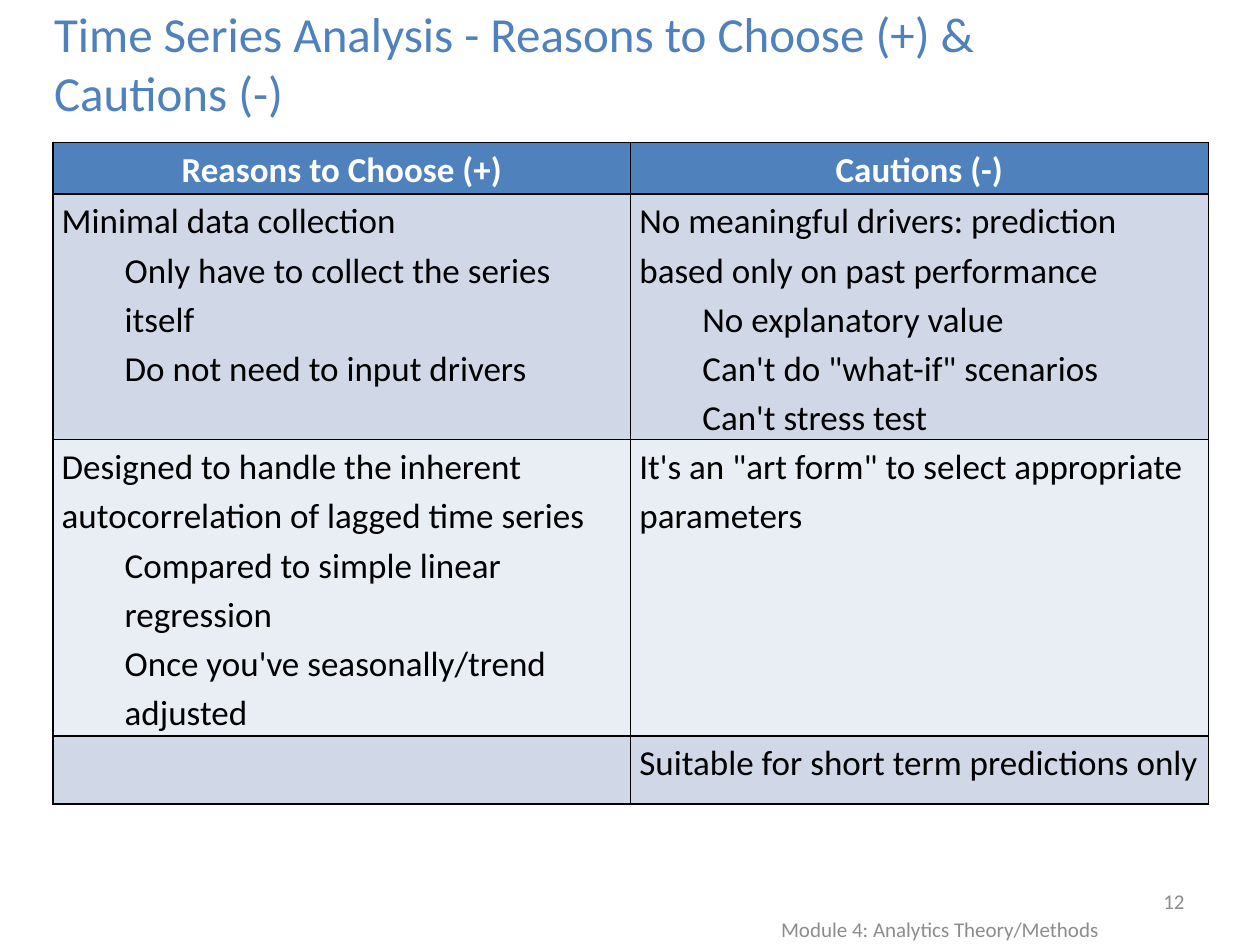
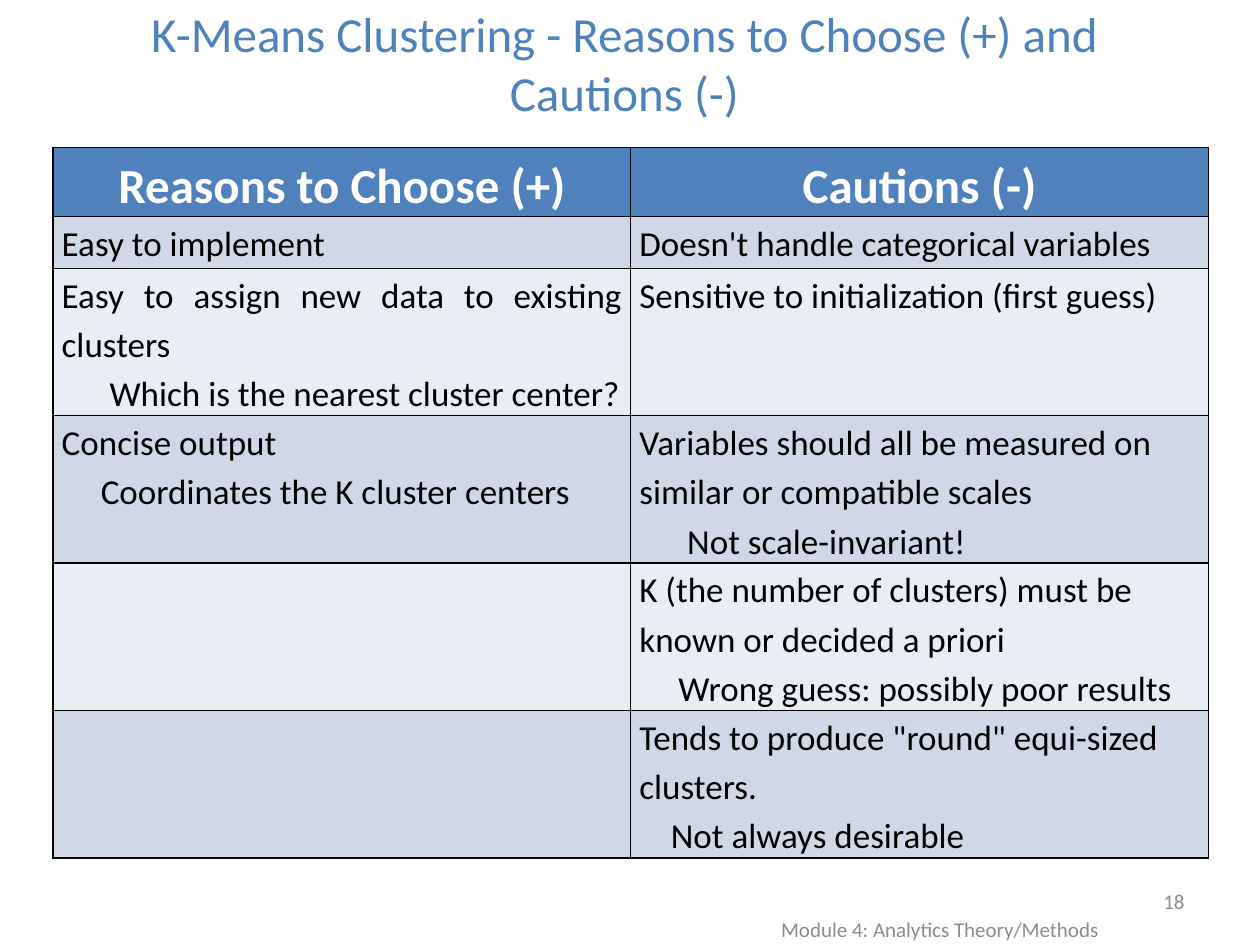
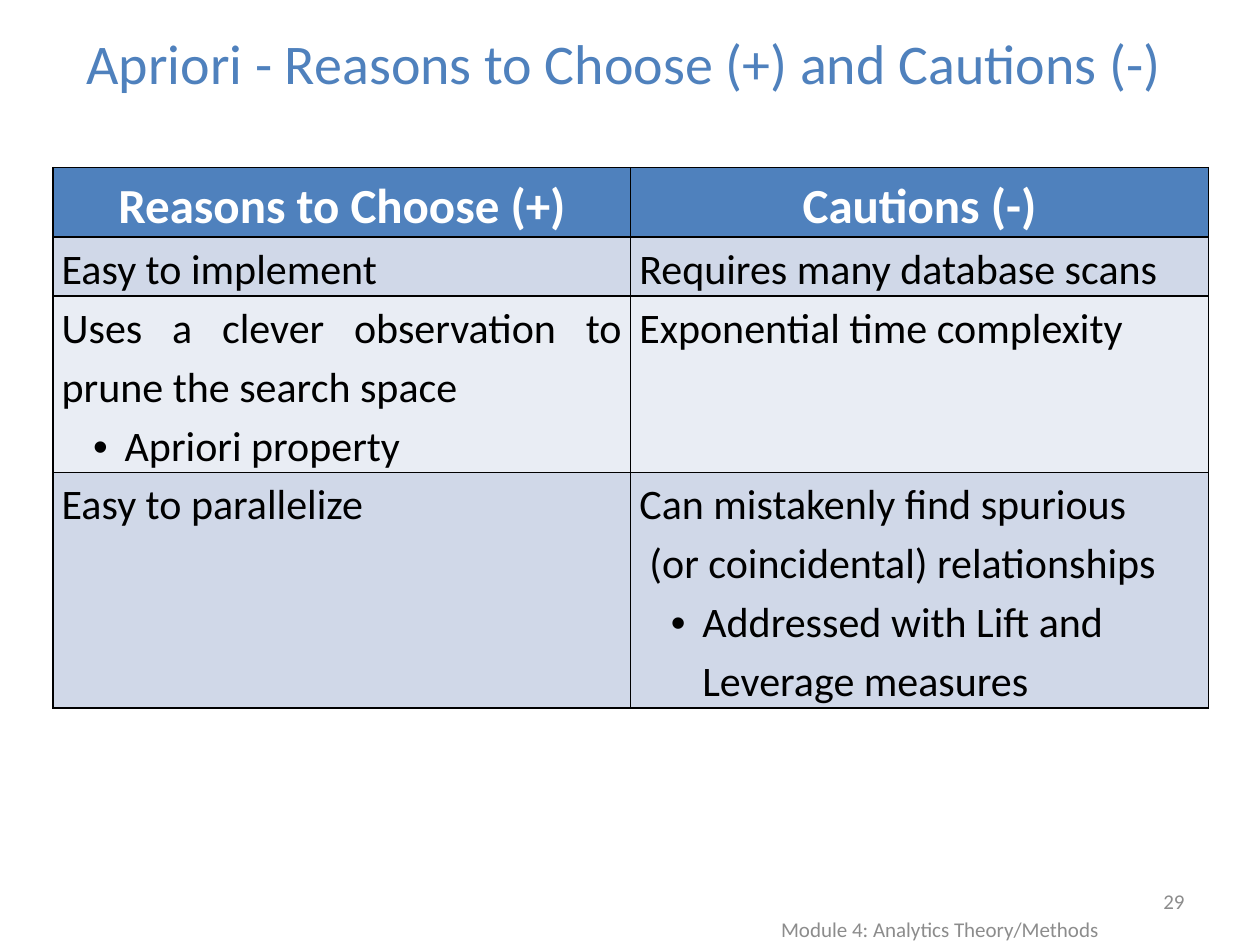
from dataclasses import dataclass

from lxml.etree import SubElement
from pptx import Presentation
from pptx.dml.color import RGBColor
from pptx.enum.text import MSO_ANCHOR, MSO_AUTO_SIZE, PP_ALIGN
from pptx.oxml import parse_xml
from pptx.oxml.ns import nsdecls, qn
from pptx.util import Inches, Pt


@dataclass(frozen=True)
class Theme:
    font: str = "Calibri"
    accent: str = "4F81BD"
    header_text: str = "FFFFFF"
    text: str = "000000"
    muted: str = "8C8C8C"
    border: str = "000000"
    bands: tuple = ("D0D8E8", "E9EDF4")
    body_size: int = 20
    footer_size: int = 12
    line_spacing: float = 1.15


@dataclass(frozen=True)
class Sub:
    """An indented paragraph inside a table cell."""
    text: str
    indent: float = 0.5
    bullet: bool = False


HEADINGS = ("Reasons to Choose (+)", "Cautions (-)")
FOOTER = "Module 4: Analytics Theory/Methods"


def write(para, text, *, size, color, font, bold=False, align=PP_ALIGN.LEFT,
          spacing=None, indent=0, bullet=False):
    """Fill a paragraph with one formatted line of text."""
    para.text = text
    para.alignment = align
    if spacing:
        para.line_spacing = spacing
    for span in para.runs:
        span.font.name = font
        span.font.size = Pt(size)
        span.font.bold = bold
        span.font.color.rgb = RGBColor.from_string(color)
    if indent:
        properties = para._p.get_or_add_pPr()
        properties.set("marL", str(Inches(indent)))
        properties.set("indent", str(Inches(-0.25 if bullet else 0)))
        if bullet:
            SubElement(properties, qn("a:buFont"), typeface="Arial")
            SubElement(properties, qn("a:buChar"), char="•")


class Deck:
    def __init__(self, theme):
        self.theme = theme
        self.file = Presentation()
        self.file.slide_width, self.file.slide_height = Inches(10), Inches(7.5)
        self.page = None

    def add_page(self, title, number, *, title_size=28, title_align=PP_ALIGN.CENTER):
        self.page = self.file.slides.add_slide(self.file.slide_layouts[5])
        self.title(title, title_size, title_align)
        self.label(FOOTER, (5.17, 7.25, 4.58, 0.25), PP_ALIGN.CENTER)
        self.label(str(number), (7.17, 6.95, 2.33, 0.4), PP_ALIGN.RIGHT)

    def title(self, text, size, align):
        box = self.page.shapes.title
        box.left, box.top, box.width, box.height = map(Inches, (0.33, 0.08, 9.25, 0.83))
        frame = box.text_frame
        frame.auto_size = MSO_AUTO_SIZE.NONE
        frame.vertical_anchor = MSO_ANCHOR.MIDDLE
        write(frame.paragraphs[0], text, size=size, color=self.theme.accent,
              font=self.theme.font, align=align)

    def label(self, text, place, align):
        frame = self.page.shapes.add_textbox(*map(Inches, place)).text_frame
        frame.word_wrap = True
        frame.vertical_anchor = MSO_ANCHOR.MIDDLE
        write(frame.paragraphs[0], text, size=self.theme.footer_size,
              color=self.theme.muted, font=self.theme.font, align=align)

    def table(self, top, heights, rows, *, header_size=28, body_size=None,
              first_align=PP_ALIGN.JUSTIFY):
        """Draw the two-column comparison under its shared headings."""
        theme = self.theme
        table = self.page.shapes.add_table(
            len(rows) + 1, 2, Inches(0.42), Inches(top),
            Inches(9.17), Inches(sum(heights))).table
        for row, height in zip(table.rows, heights):
            row.height = Inches(height)
        for column, heading in enumerate(HEADINGS):
            self.cell(table.cell(0, column), [heading], theme.accent,
                      size=header_size, color=theme.header_text, bold=True,
                      align=PP_ALIGN.CENTER)
        for index, row in enumerate(rows):
            for column, lines in enumerate(row):
                self.cell(table.cell(index + 1, column), lines,
                          theme.bands[index % 2],
                          size=body_size or theme.body_size, color=theme.text,
                          align=PP_ALIGN.LEFT if column else first_align)

    def cell(self, cell, lines, fill, **style):
        cell.margin_left = cell.margin_right = Inches(0.07)
        cell.margin_top = cell.margin_bottom = 0
        cell.fill.solid()
        cell.fill.fore_color.rgb = RGBColor.from_string(fill)
        for position, side in enumerate("LRTB"):
            cell._tc.tcPr.insert(position, parse_xml(
                f'<a:ln{side} {nsdecls("a")} w="{Pt(1)}"><a:solidFill>'
                f'<a:srgbClr val="{self.theme.border}"/></a:solidFill></a:ln{side}>'))
        frame = cell.text_frame
        for index, line in enumerate(lines):
            para = frame.add_paragraph() if index else frame.paragraphs[0]
            item = line if isinstance(line, Sub) else Sub(line, 0)
            write(para, item.text, font=self.theme.font, indent=item.indent,
                  bullet=item.bullet, spacing=self.theme.line_spacing, **style)


def main():
    deck = Deck(Theme())

    # Time series analysis
    deck.add_page("Time Series Analysis - Reasons to Choose (+) &\vCautions (-)", 12,
                  title_align=PP_ALIGN.LEFT)
    deck.table(1.13, (0.41, 1.95, 2.35, 0.54), [
        (["Minimal data collection",
          Sub("Only have to collect the series itself"),
          Sub("Do not need to input drivers")],
         ["No meaningful drivers: prediction based only on past performance",
          Sub("No explanatory value"),
          Sub('Can\'t do "what-if" scenarios'),
          Sub("Can't stress test")]),
        (["Designed to handle the inherent autocorrelation of lagged time series",
          Sub("Compared to simple linear regression"),
          Sub("Once you've seasonally/trend adjusted")],
         ['It\'s an "art form" to select appropriate parameters']),
        ([], ["Suitable for short term predictions only"]),
    ], header_size=20, first_align=PP_ALIGN.LEFT)

    # K-means clustering
    deck.add_page("K-Means Clustering - Reasons to Choose (+) and\vCautions (-)", 18)
    deck.table(1.17, (0.55, 0.41) + (1.17,) * 4, [
        (["Easy to implement"], ["Doesn't handle categorical variables"]),
        (["Easy to assign new data to existing clusters",
          Sub("Which is the nearest cluster center?", 0.38)],
         ["Sensitive to initialization (first guess)"]),
        (["Concise output", Sub("Coordinates the K cluster centers", 0.31)],
         ["Variables should all be measured on similar or compatible scales",
          Sub("Not scale-invariant!", 0.38)]),
        ([], ["K (the number of clusters) must be known or decided a priori",
              Sub("Wrong guess: possibly poor results", 0.31)]),
        ([], ['Tends to produce "round" equi-sized clusters.',
              Sub("Not always desirable", 0.25)]),
    ])

    # Apriori
    deck.add_page("Apriori - Reasons to Choose (+) and Cautions (-)", 29, title_size=32)
    deck.table(1.33, (0.55, 0.47, 1.4, 1.87), [
        (["Easy to implement"], ["Requires many database scans"]),
        (["Uses a clever observation to prune the search space",
          Sub("Apriori property", bullet=True)],
         ["Exponential time complexity"]),
        (["Easy to parallelize"],
         ["Can mistakenly find spurious",
          Sub("(or coincidental) relationships", 0.08),
          Sub("Addressed with Lift and Leverage measures", bullet=True)]),
    ], body_size=24)

    deck.file.save("out.pptx")


if __name__ == "__main__":
    main()
